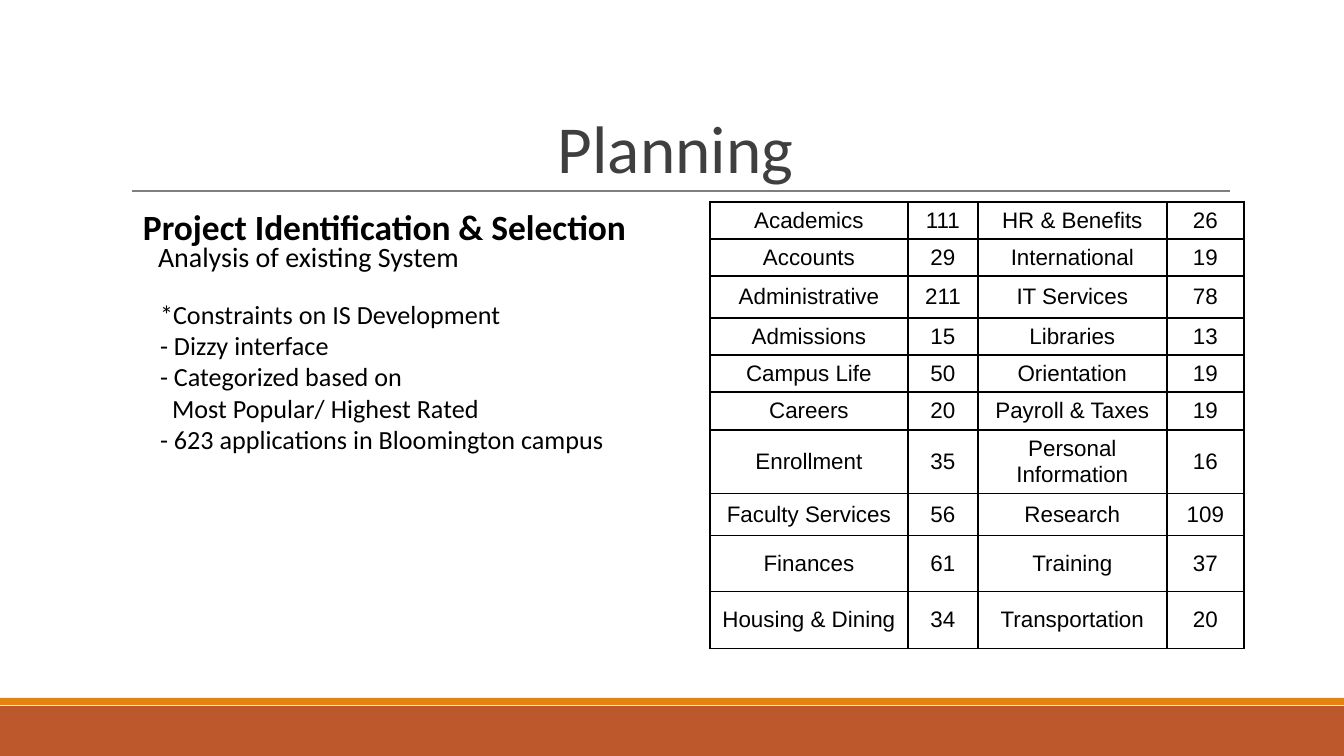
"""Build the Planning slide with project notes and a table of application counts."""
import pptx
import pptx.dml.color
import pptx.enum.shapes
import pptx.enum.text
import pptx.oxml
import pptx.oxml.ns
import pptx.util

PX = 914400 / 134.4
BLACK = "000000"
ALIGN = pptx.enum.text.PP_ALIGN
ANCHOR = pptx.enum.text.MSO_ANCHOR

BARS = [((0, 706, 1344, 50), "BD582C"), ((0, 698, 1344, 7), "E48312")]
RULE = (132, 191, 1230, 191)
TITLE = "Planning"
HEADING = "Project Identification & Selection"
SUBHEADING = "Analysis of existing System"
CONSTRAINTS = [
    ("*Constraints on IS Development", 0),
    ("- Dizzy interface", 0),
    ("- Categorized based on", 0),
    ("Most Popular/ Highest Rated", 12),
    ("- 623 applications in Bloomington campus", 0),
]
APPLICATIONS = [
    ("Academics", "111", "HR & Benefits", "26"),
    ("Accounts", "29", "International", "19"),
    ("Administrative", "211", "IT Services", "78"),
    ("Admissions", "15", "Libraries", "13"),
    ("Campus Life", "50", "Orientation", "19"),
    ("Careers", "20", "Payroll & Taxes", "19"),
    ("Enrollment", "35", "Personal Information", "16"),
    ("Faculty Services", "56", "Research", "109"),
    ("Finances", "61", "Training", "37"),
    ("Housing & Dining", "34", "Transportation", "20"),
]
TABLE_ORIGIN = (710, 202)
COLUMN_WIDTHS = [198, 70, 189, 77]
ROW_HEIGHTS = [37, 37, 42, 36, 37, 38, 60, 42, 56, 57]


def px(*lengths):
    return [pptx.util.Emu(round(length * PX)) for length in lengths]


def color(value):
    return pptx.dml.color.RGBColor.from_string(value)


def write(paragraph, text, *, size, font="Calibri", fill=BLACK, bold=False,
          align=ALIGN.LEFT, spacing=None, indent=0):
    paragraph.alignment = align
    paragraph.line_spacing = spacing
    if indent:
        paragraph._p.get_or_add_pPr().set("marL", str(px(indent)[0]))
    run = paragraph.add_run()
    run.text = text
    run.font.size = pptx.util.Pt(size)
    run.font.name = font
    run.font.bold = bold
    run.font.color.rgb = color(fill)


def set_margins(target, side, end):
    target.margin_left, target.margin_right = px(side, side)
    target.margin_top, target.margin_bottom = px(end, end)


def add_text(slide, box, lines, anchor=ANCHOR.TOP, **style):
    frame = slide.shapes.add_textbox(*px(*box)).text_frame
    frame.word_wrap = True
    frame.vertical_anchor = anchor
    set_margins(frame, 10, 5)
    for index, (text, indent) in enumerate(lines):
        paragraph = frame.add_paragraph() if index else frame.paragraphs[0]
        write(paragraph, text, indent=indent, **style)


def add_borders(cell):
    properties = cell._tc.get_or_add_tcPr()
    namespace = pptx.oxml.ns.nsdecls("a")
    for position, side in enumerate(("lnL", "lnR", "lnT", "lnB")):
        properties.insert(position, pptx.oxml.parse_xml(
            f'<a:{side} {namespace} w="12700"><a:solidFill>'
            f'<a:srgbClr val="{BLACK}"/></a:solidFill></a:{side}>'))


def add_table(slide):
    size = (sum(COLUMN_WIDTHS), sum(ROW_HEIGHTS))
    table = slide.shapes.add_table(
        len(APPLICATIONS), len(COLUMN_WIDTHS), *px(*TABLE_ORIGIN, *size)).table
    table.first_row = table.horz_banding = False
    for column, width in zip(table.columns, px(*COLUMN_WIDTHS)):
        column.width = width
    for row, height, values in zip(table.rows, px(*ROW_HEIGHTS), APPLICATIONS):
        row.height = height
        for cell, value in zip(row.cells, values):
            cell.fill.background()
            cell.vertical_anchor = ANCHOR.MIDDLE
            set_margins(cell, 5, 5)
            write(cell.text_frame.paragraphs[0], value, size=12, font="Arial",
                  align=ALIGN.CENTER)
            add_borders(cell)


def main():
    presentation = pptx.Presentation()
    presentation.slide_width, presentation.slide_height = px(1344, 756)
    slide = presentation.slides.add_slide(presentation.slide_layouts[6])
    for box, fill in BARS:
        bar = slide.shapes.add_shape(
            pptx.enum.shapes.MSO_SHAPE.RECTANGLE, *px(*box))
        bar.shadow.inherit = False
        bar.fill.solid()
        bar.fill.fore_color.rgb = color(fill)
        bar.line.fill.background()
    rule = slide.shapes.add_connector(
        pptx.enum.shapes.MSO_CONNECTOR.STRAIGHT, *px(*RULE))
    rule.line.color.rgb = color("7F7F7F")
    rule.line.width = pptx.util.Pt(0.75)
    rule._element.spPr.append(pptx.oxml.parse_xml(
        f'<a:effectLst {pptx.oxml.ns.nsdecls("a")}/>'))
    add_text(slide, (133, 200, 1077, 98), [(HEADING, 0)], size=19, bold=True)
    add_text(slide, (121, 32, 1109, 160), [(TITLE, 0)], ANCHOR.BOTTOM,
             size=36, fill="3F3F3F", align=ALIGN.CENTER, spacing=0.85)
    add_text(slide, (150, 293, 1094, 348), CONSTRAINTS, size=14)
    add_table(slide)
    add_text(slide, (142, 235, 1094, 48), [(SUBHEADING, 6)], size=15)
    presentation.save("out.pptx")


if __name__ == "__main__":
    main()
